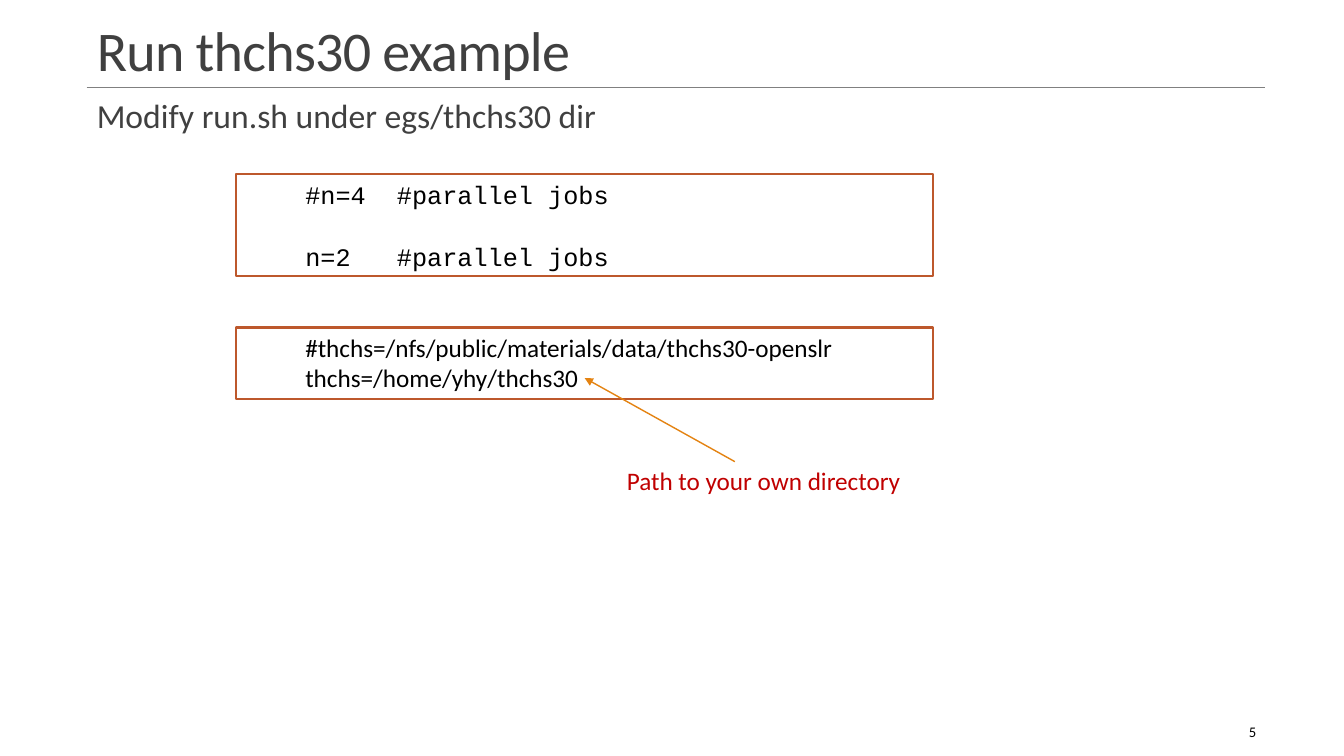
from dataclasses import dataclass

from lxml import etree
from pptx import Presentation
from pptx.dml.color import RGBColor
from pptx.enum.shapes import MSO_CONNECTOR, MSO_SHAPE
from pptx.enum.text import MSO_ANCHOR, MSO_AUTO_SIZE, PP_ALIGN
from pptx.oxml.ns import qn
from pptx.shapes.base import BaseShape
from pptx.slide import Slide
from pptx.text.text import TextFrame, _Paragraph
from pptx.util import Inches, Pt

STRAIGHT = MSO_CONNECTOR.STRAIGHT
RECTANGLE = MSO_SHAPE.RECTANGLE
TOP, MIDDLE, BOTTOM = MSO_ANCHOR.TOP, MSO_ANCHOR.MIDDLE, MSO_ANCHOR.BOTTOM
NO_AUTOFIT = MSO_AUTO_SIZE.NONE
LEFT, RIGHT = PP_ALIGN.LEFT, PP_ALIGN.RIGHT

BLACK = RGBColor(0x00, 0x00, 0x00)
CHARCOAL = RGBColor(0x40, 0x40, 0x40)
GRAY = RGBColor(0x80, 0x80, 0x80)
RUST = RGBColor(0xBD, 0x58, 0x2C)
ORANGE = RGBColor(0xE4, 0x83, 0x12)
RED = RGBColor(0xC0, 0x00, 0x00)

SLIDE_WIDTH, SLIDE_HEIGHT = Inches(13.33), Inches(7.5)
CODE_INDENT = Inches(0.59)
MARGIN, CONTENT_WIDTH = 6.45, 87.75


@dataclass(frozen=True)
class Area:
    """Percentages of the slide's width and height."""
    left: float
    top: float
    width: float
    height: float

    def box(self) -> tuple[int, int, int, int]:
        return (across(self.left), down(self.top),
                across(self.width), down(self.height))


@dataclass(frozen=True)
class CodeLine:
    text: str
    comment_at: float = 0
    space_after: float = 0


@dataclass(frozen=True)
class CodeBox:
    top: float
    height: float
    font: str
    lines: tuple[CodeLine, ...]


@dataclass(frozen=True)
class Label:
    text: str
    area: Area
    size: float
    color: RGBColor
    align: PP_ALIGN
    anchor: MSO_ANCHOR
    wrap: bool


@dataclass(frozen=True)
class Line:
    start: tuple[float, float]
    end: tuple[float, float]
    color: RGBColor
    width: float
    arrow: bool = False


CODE_BOXES = (
    CodeBox(23.07, 13.47, "Courier New", (
        CodeLine("#n=4\t#parallel jobs", 2.09, 22.5),
        CodeLine("n=2\t#parallel jobs", 1.94))),
    CodeBox(43.33, 9.47, "Calibri", (
        CodeLine("#thchs=/nfs/public/materials/data/thchs30-openslr"),
        CodeLine("thchs=/home/yhy/thchs30"))),
)
LABELS = (
    Label("5", Area(83.48, 94.13, 10.73, 5.33), 10.5, BLACK, RIGHT, MIDDLE, True),
    Label("Path to your own directory", Area(45.9, 60.93, 22.13, 5.33),
          18, RED, LEFT, TOP, False),
)
LINES = (
    Line((MARGIN, 11.6), (94.13, 11.6), GRAY, 0.5),
    Line((54.68, 61.07), (43.5, 50), ORANGE, 1, True),
)


def across(percent: float) -> int:
    return round(SLIDE_WIDTH * percent / 100)


def down(percent: float) -> int:
    return round(SLIDE_HEIGHT * percent / 100)


def style(paragraph: _Paragraph, size: float, color: RGBColor,
          font: str = "Calibri", align: PP_ALIGN = LEFT) -> None:
    paragraph.font.name = font
    paragraph.font.size = Pt(size)
    paragraph.font.color.rgb = color
    paragraph.alignment = align


def fill_placeholder(holder: BaseShape, area: Area, text: str, size: float,
                     anchor: MSO_ANCHOR, spacing: float) -> TextFrame:
    holder.left, holder.top, holder.width, holder.height = area.box()
    frame = holder.text_frame
    frame.text = text
    frame.auto_size = NO_AUTOFIT
    frame.vertical_anchor = anchor
    paragraph = frame.paragraphs[0]
    style(paragraph, size, CHARCOAL)
    paragraph.line_spacing = spacing
    return frame


def add_heading(slide: Slide) -> None:
    title = fill_placeholder(slide.shapes.title, Area(MARGIN, 1.73, CONTENT_WIDTH, 9.87),
                             "Run thchs30 example", 40, BOTTOM, 0.85)
    title.paragraphs[0].runs[0].font._element.set("spc", "-50")
    body = fill_placeholder(slide.placeholders[1], Area(MARGIN, 12.53, CONTENT_WIDTH, 79.33),
                            "Modify run.sh under egs/thchs30 dir", 24, TOP, 0.9)
    body.margin_left = body.margin_right = 0
    instruction = body.paragraphs[0]
    instruction.space_before, instruction.space_after = Pt(12), Pt(6)
    properties = instruction._p.get_or_add_pPr()
    properties.set("marL", str(Inches(0.1)))
    properties.set("indent", "0")
    properties.insert_element_before(
        properties.makeelement(qn("a:buNone")), "a:tabLst", "a:defRPr", "a:extLst")


def add_code_box(slide: Slide, code: CodeBox) -> None:
    panel = slide.shapes.add_shape(
        RECTANGLE, *Area(17.55, code.top, 51.9, code.height).box())
    panel.shadow.inherit = False
    panel.fill.background()
    panel.line.color.rgb = RUST
    panel.line.width = Pt(1.5)
    frame = panel.text_frame
    frame.word_wrap = True
    frame.vertical_anchor = TOP
    for index, line in enumerate(code.lines):
        paragraph = frame.add_paragraph() if index else frame.paragraphs[0]
        paragraph.text = line.text
        style(paragraph, 18, BLACK, code.font)
        paragraph.space_after = Pt(line.space_after)
        properties = paragraph._p.get_or_add_pPr()
        properties.set("marL", "0")
        properties.set("indent", str(CODE_INDENT))
        if line.comment_at:
            stops = properties.makeelement(qn("a:tabLst"))
            etree.SubElement(stops, qn("a:tab"),
                             pos=str(Inches(line.comment_at)), algn="l")
            properties.insert_element_before(stops, "a:defRPr", "a:extLst")


def add_label(slide: Slide, label: Label) -> None:
    frame = slide.shapes.add_textbox(*label.area.box()).text_frame
    frame.word_wrap = label.wrap
    frame.vertical_anchor = label.anchor
    frame.text = label.text
    style(frame.paragraphs[0], label.size, label.color, align=label.align)


def add_line(slide: Slide, line: Line) -> None:
    connector = slide.shapes.add_connector(
        STRAIGHT, across(line.start[0]), down(line.start[1]),
        across(line.end[0]), down(line.end[1]))
    connector.line.color.rgb = line.color
    connector.line.width = Pt(line.width)
    if line.arrow:
        etree.SubElement(connector.line._get_or_add_ln(), qn("a:tailEnd"), type="triangle")
    etree.SubElement(connector._element.spPr, qn("a:effectLst"))


def main() -> None:
    presentation = Presentation()
    presentation.slide_width, presentation.slide_height = SLIDE_WIDTH, SLIDE_HEIGHT
    slide = presentation.slides.add_slide(presentation.slide_layouts[1])
    add_heading(slide)
    for code in CODE_BOXES:
        add_code_box(slide, code)
    for label in LABELS:
        add_label(slide, label)
    for line in LINES:
        add_line(slide, line)
    presentation.save("out.pptx")


if __name__ == "__main__":
    main()
